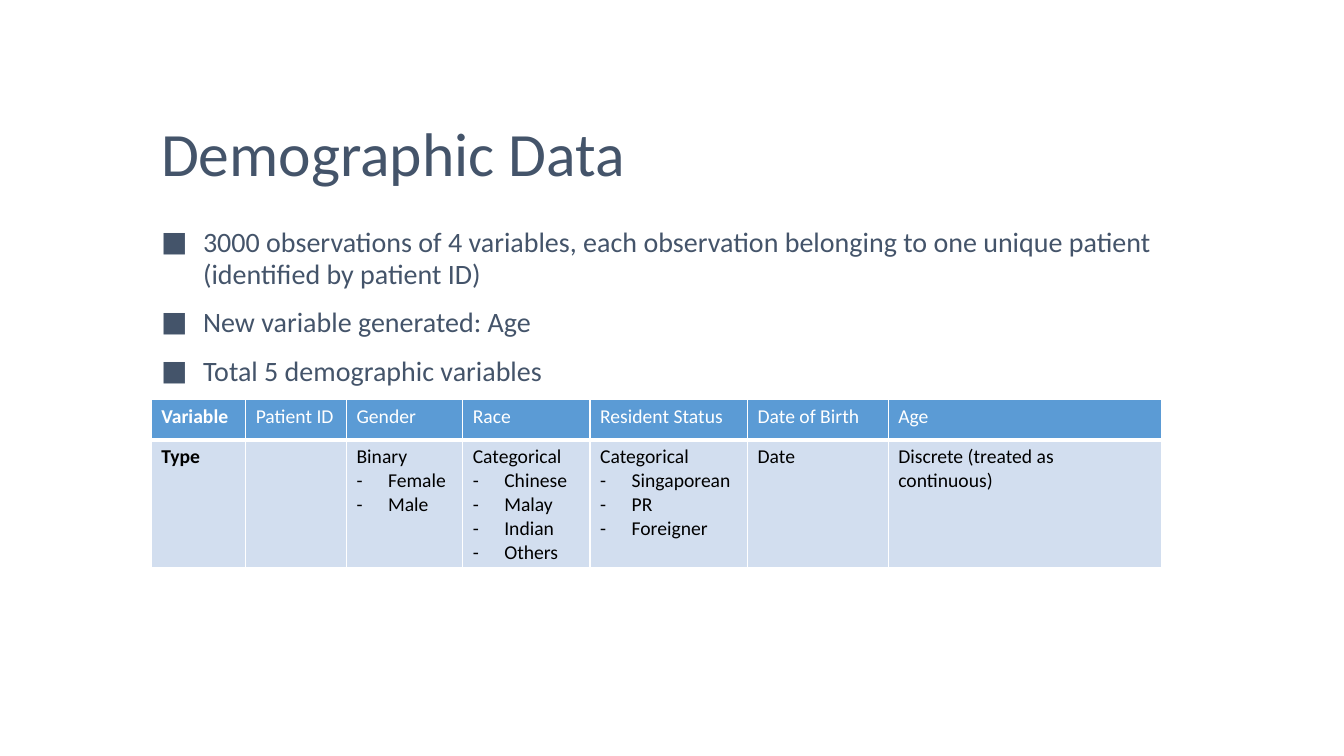
import pptx
import pptx.dml.color
import pptx.enum.text
import pptx.util
from lxml import etree
from pptx.oxml.ns import qn

Pt = pptx.util.Pt
FONT = "Calibri"
COLOURS = {"slate": "44546A", "header": "5B9BD5", "body": "D2DEEF",
           "white": "FFFFFF", "black": "000000"}


def write(frame, lines, size, colour, bold=False, bullet=None, indent=0, first=0):
    """Fill a text frame; lines from index first onwards get the bullet."""
    frame.word_wrap = True
    frame.text = "\n".join(lines)
    for index, para in enumerate(frame.paragraphs):
        para.font.size = Pt(size)
        for span in para.runs:
            span.font.name = FONT
            span.font.size = Pt(size)
            span.font.bold = bold
            span.font.color.rgb = pptx.dml.color.RGBColor.from_string(COLOURS[colour])
        if bullet and index >= first:
            properties = para._p.get_or_add_pPr()
            properties.set("marL", str(Pt(indent)))
            properties.set("indent", str(-Pt(indent)))
            etree.SubElement(properties, qn("a:buFont")).set("typeface", FONT)
            etree.SubElement(properties, qn("a:buChar")).set("char", bullet)


def paint(cell, colour, bottom_width):
    """Give a cell white borders and a solid fill."""
    properties = cell._tc.get_or_add_tcPr()
    for side, width in (("L", 1), ("R", 1), ("T", 1), ("B", bottom_width)):
        line = etree.SubElement(properties, qn(f"a:ln{side}"), w=str(Pt(width)))
        fill = etree.SubElement(line, qn("a:solidFill"))
        etree.SubElement(fill, qn("a:srgbClr"), val=COLOURS["white"])
    cell.fill.solid()
    cell.fill.fore_color.rgb = pptx.dml.color.RGBColor.from_string(COLOURS[colour])


deck = pptx.Presentation()
deck.slide_width, deck.slide_height = Pt(960), Pt(540)
slide = deck.slides.add_slide(deck.slide_layouts[6])

title = slide.shapes.add_textbox(Pt(108), Pt(54), Pt(756), Pt(116.64))
title.text_frame.vertical_anchor = pptx.enum.text.MSO_ANCHOR.MIDDLE
write(title.text_frame, ["Demographic Data"], 44, "slate")
title.text_frame.paragraphs[0].line_spacing = 0.89

points = [
    "3000 observations of 4 variables, each observation belonging to one unique patient (identified by patient ID)",
    "New variable generated: Age",
    "Total 5 demographic variables",
]
summary = slide.shapes.add_textbox(Pt(108), Pt(159), Pt(756), Pt(282))
write(summary.text_frame, points, 20, "slate", bullet="■", indent=30)
for para in summary.text_frame.paragraphs:
    para.line_spacing = 0.94
    para.space_before = Pt(10)
    para.space_after = Pt(2)

# Each variable: column width, heading, type followed by its categories
variables = [
    (67.5, "Variable", ["Type"]),
    (72, "Patient ID", []),
    (83, "Gender", ["Binary", "Female", "Male"]),
    (91, "Race", ["Categorical", "Chinese", "Malay", "Indian", "Others"]),
    (112.5, "Resident Status", ["Categorical", "Singaporean", "PR", "Foreigner"]),
    (100.5, "Date of Birth", ["Date"]),
    (195.5, "Age", ["Discrete (treated as continuous)"]),
]
table_width = sum(width for width, heading, kinds in variables)
table = slide.shapes.add_table(2, len(variables), Pt(108), Pt(285.3),
                               Pt(table_width), Pt(120)).table
table.rows[0].height, table.rows[1].height = Pt(29.2), Pt(91)
for column, (width, heading, kinds) in enumerate(variables):
    table.columns[column].width = Pt(width)
    header, body = table.cell(0, column), table.cell(1, column)
    paint(header, "header", 3)
    paint(body, "body", 1)
    write(header.text_frame, [heading], 14, "white", bold=column == 0)
    write(body.text_frame, kinds, 14, "black", bold=column == 0,
          bullet="-", indent=22.5, first=1)

deck.save("out.pptx")
